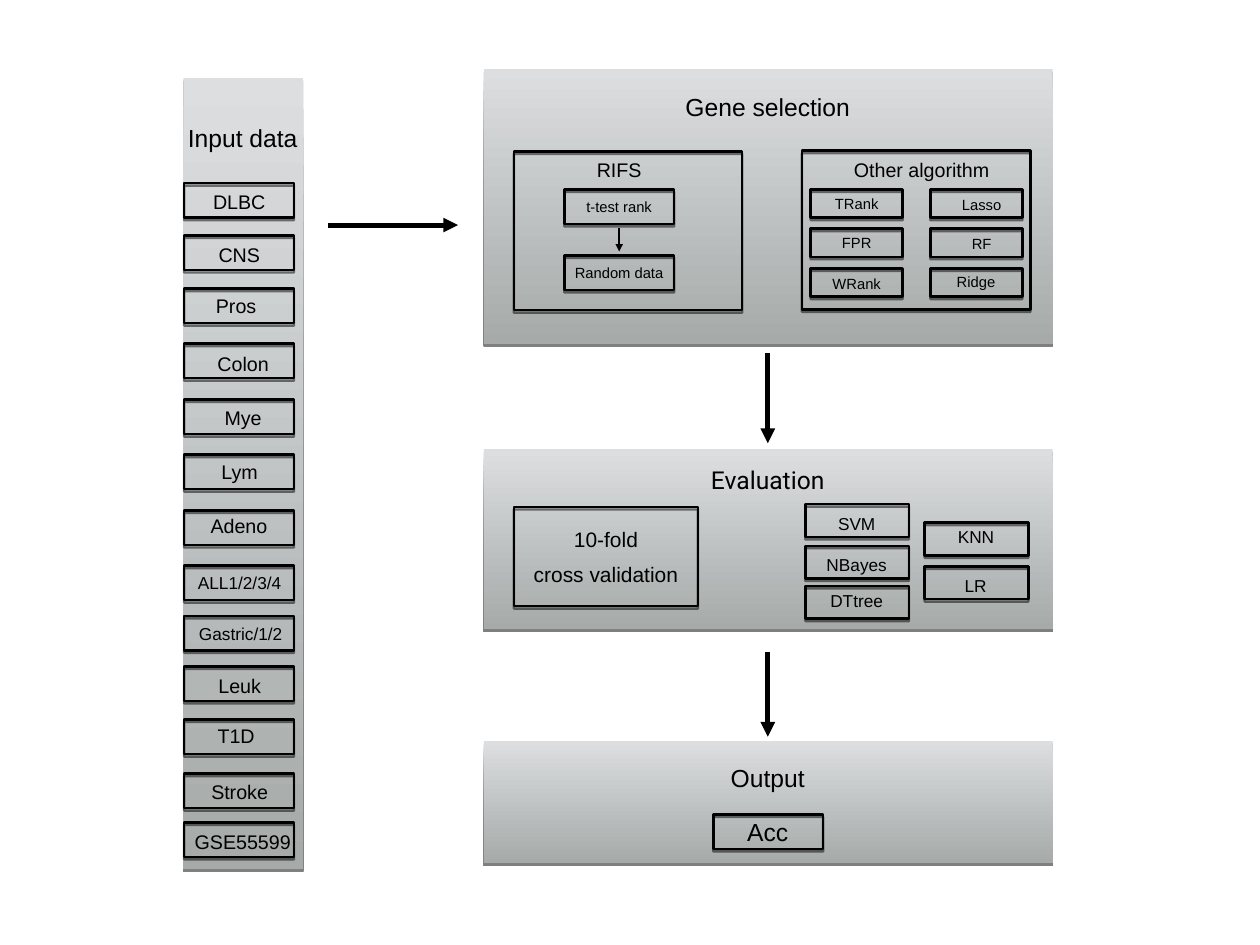
from lxml import etree
from pptx import Presentation
from pptx.dml.color import RGBColor
from pptx.enum.shapes import MSO_CONNECTOR as Connector, MSO_SHAPE as Preset
from pptx.enum.text import MSO_ANCHOR as Anchor, MSO_AUTO_SIZE as AutoSize, PP_ALIGN as Align
from pptx.oxml.ns import qn
from pptx.util import Cm, Pt

COLORS = {"ink": "000000", "panel_top": "DCDEE0", "panel_bottom": "A6AAA9"}

PANELS = [
    (5.26, 2.24, 3.43, 22.66),
    (13.87, 1.98, 16.31, 7.87),
    (13.87, 12.88, 16.31, 5.16),
    (13.87, 21.23, 16.31, 3.51),
]
FRAMES = [
    (14.73, 4.34, 6.55, 4.55),
    (22.99, 4.32, 6.55, 4.55),
    (14.73, 14.53, 5.28, 2.84),
]
HEADINGS = [
    ("Input data", 6.96, 3.94, 20, "Arial"),
    ("Gene selection", 22.01, 3.05, 20, "Arial"),
    ("RIFS", 17.75, 4.87, 16, "Arial"),
    ("Other algorithm", 26.42, 4.87, 16, "Arial"),
    ("Evaluation", 22.01, 13.74, 20, "Roboto"),
    ("10-fold", 17.37, 15.46, 17, "Arial"),
    ("cross validation", 17.37, 16.45, 17, "Arial"),
    ("Output", 22.01, 22.29, 20, "Arial"),
]

LARGE, MEDIUM, SMALL = (3.15, 0.99), (2.97, 0.94), (2.64, 0.81)
BOX_COLUMNS = [
    (5.28, LARGE, [
        ("DLBC", 5.25, 6.86, 5.77, 16),
        ("CNS", 6.75, 6.86, 7.29, 16),
        ("Pros", 8.27, 6.77, 8.76, 16),
        ("Colon", 9.85, 6.97, 10.43, 16),
        ("Mye", 11.45, 6.97, 11.96, 16),
        ("Lym", 13.03, 6.87, 13.51, 16),
        ("Adeno", 14.63, 6.85, 15.06, 16),
        ("ALL1/2/3/4", 16.21, 6.87, 16.71, 14),
        ("Gastric/1/2", 17.65, 6.9, 18.16, 14),
        ("Leuk", 19.1, 6.87, 19.66, 16),
        ("T1D", 20.62, 6.77, 21.08, 16),
        ("Stroke", 22.17, 6.87, 22.68, 16),
        ("GSE55599", 23.57, 6.96, 24.13, 16),
    ]),
    (16.18, LARGE, [
        ("t-test rank", 5.43, 17.75, 5.92, 12),
        ("Random data", 7.32, 17.75, 7.81, 12),
    ]),
    (23.24, SMALL, [
        ("TRank", 5.43, 24.56, 5.83, 12),
        ("FPR", 6.55, 24.56, 6.95, 12),
        ("WRank", 7.69, 24.56, 8.14, 12),
    ]),
    (26.67, SMALL, [
        ("Lasso", 5.43, 28.14, 5.87, 12),
        ("RF", 6.55, 28.14, 6.97, 12),
        ("Ridge", 7.69, 27.98, 8.06, 12),
    ]),
    (23.09, MEDIUM, [
        ("SVM", 14.45, 24.56, 15.01, 14),
        ("NBayes", 15.64, 24.56, 16.18, 14),
        ("DTtree", 16.79, 24.56, 17.2, 14),
    ]),
    (26.51, MEDIUM, [
        ("KNN", 14.98, 27.98, 15.37, 14),
        ("LR", 16.23, 27.97, 16.79, 14),
    ]),
    (20.45, LARGE, [("Acc", 23.34, 22.01, 23.83, 20)]),
]
ARROWS = [
    (9.4, 6.45, 13.13, 6.45, 4),
    (17.75, 6.53, 17.75, 7.21, 2),
    (22.01, 10.11, 22.01, 12.7, 4),
    (22.01, 18.67, 22.01, 21.11, 4),
]


def color(name):
    return RGBColor.from_string(COLORS[name])


def add_rectangle(slide, left, top, width, height, panel=False):
    shape = slide.shapes.add_shape(Preset.RECTANGLE, Cm(left), Cm(top), Cm(width), Cm(height))
    if panel:
        shape.fill.gradient()
        shape.fill.gradient_angle = 270
        for stop, name in zip(shape.fill.gradient_stops, ("panel_top", "panel_bottom")):
            stop.color.rgb = color(name)
        shape.line.fill.background()
    else:
        shape.fill.background()
        shape.line.color.rgb = color("ink")
        shape.line.width = Pt(2)
    shape.shadow.inherit = False
    effects = shape._element.spPr.find(qn("a:effectLst"))
    shadow = etree.SubElement(effects, qn("a:outerShdw"), blurRad="0", dist=str(Pt(2)),
                              dir="5400000", rotWithShape="0")
    tint = etree.SubElement(shadow, qn("a:srgbClr"), val=COLORS["ink"])
    etree.SubElement(tint, qn("a:alpha"), val="50000")


def add_label(slide, text, center_x, center_y, size=16, font="Arial"):
    width = len(text) * size * 0.027 + 0.3
    height = size * 0.04 + 0.3
    shape = slide.shapes.add_textbox(Cm(center_x - width / 2), Cm(center_y - height / 2),
                                     Cm(width), Cm(height))
    frame = shape.text_frame
    frame.word_wrap = False
    frame.auto_size = AutoSize.SHAPE_TO_FIT_TEXT
    frame.vertical_anchor = Anchor.MIDDLE
    frame.margin_left = frame.margin_right = frame.margin_top = frame.margin_bottom = Cm(0.15)
    paragraph = frame.paragraphs[0]
    paragraph.alignment = Align.CENTER
    run = paragraph.add_run()
    run.text = text
    run.font.name = font
    run.font.size = Pt(size)
    run.font.color.rgb = color("ink")


def add_arrow(slide, start_x, start_y, end_x, end_y, weight):
    arrow = slide.shapes.add_connector(Connector.STRAIGHT, Cm(start_x), Cm(start_y),
                                       Cm(end_x), Cm(end_y))
    arrow.line.color.rgb = color("ink")
    arrow.line.width = Pt(weight)
    etree.SubElement(arrow.line._get_or_add_ln(), qn("a:tailEnd"), type="triangle")
    etree.SubElement(arrow._element.spPr, qn("a:effectLst"))


def main():
    presentation = Presentation()
    presentation.slide_width, presentation.slide_height = Cm(36.12), Cm(27.08)
    slide = presentation.slides.add_slide(presentation.slide_layouts[6])
    for panel in PANELS:
        add_rectangle(slide, *panel, panel=True)
    for frame in FRAMES:
        add_rectangle(slide, *frame)
    for text, center_x, center_y, size, font in HEADINGS:
        add_label(slide, text, center_x, center_y, size=size, font=font)
    for left, box_size, boxes in BOX_COLUMNS:
        for text, top, center_x, center_y, size in boxes:
            add_rectangle(slide, left, top, *box_size)
            add_label(slide, text, center_x, center_y, size=size)
    for arrow in ARROWS:
        add_arrow(slide, *arrow)
    presentation.save("out.pptx")


if __name__ == "__main__":
    main()
